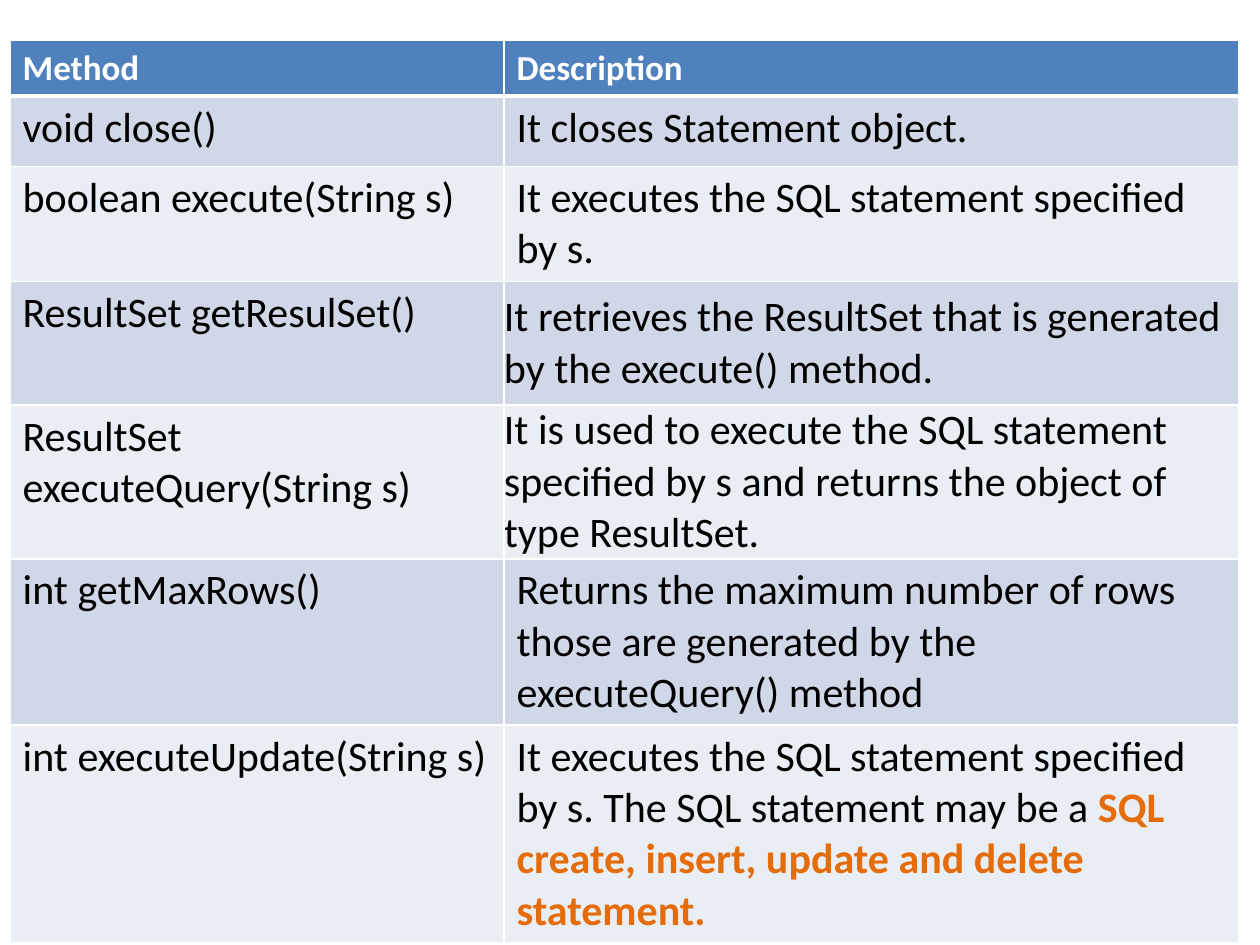
from pptx import Presentation
from pptx.dml.color import RGBColor
from pptx.enum.text import MSO_ANCHOR
from pptx.oxml.ns import qn
from pptx.util import Inches, Pt
from lxml.etree import SubElement

COLORS = {
    "header": "4F81BD", "odd": "D0D8E8", "even": "E9EDF4",
    "white": "FFFFFF", "black": "000000", "accent": "E46C0A",
}
COLUMN_WIDTHS = [3.92, 5.83]
ROW_HEIGHTS = [0.43, 0.56, 0.75, 0.98, 1.08, 1.08, 1.08]
FLUSH_ROWS = (3, 4)  # descriptions without margins
METHODS = [
    ("Method", "Description"),
    ("void close()", "It closes Statement object."),
    ("boolean execute(String s)", "It executes the SQL statement specified by s."),
    ("ResultSet getResulSet()",
     "It retrieves the ResultSet that is generated by the execute() method."),
    ("ResultSet executeQuery(String s)",
     "It is used to execute the SQL statement specified by s and returns "
     "the object of type ResultSet."),
    ("int getMaxRows()",
     "Returns the maximum number of rows those are generated by the "
     "executeQuery() method"),
    ("int executeUpdate(String s)",
     "It executes the SQL statement specified by s. The SQL statement may be a "),
]


def add_text(para, text, size=24, color="black", bold=False):
    span = para.add_run()
    span.text = text
    span.font.name = "Calibri"
    span.font.size = Pt(size)
    span.font.bold = bold
    span.font.color.rgb = RGBColor.from_string(COLORS[color])


def add_borders(cell, bottom=1):
    properties = cell._tc.get_or_add_tcPr()
    for side, width in (("L", 1), ("R", 1), ("T", 1), ("B", bottom)):
        line = SubElement(properties, qn(f"a:ln{side}"), w=str(Pt(width)))
        fill = SubElement(line, qn("a:solidFill"))
        SubElement(fill, qn("a:srgbClr"), val=COLORS["white"])


# Deck and page
deck = Presentation()
deck.slide_width, deck.slide_height = Inches(10), Inches(7.5)
page = deck.slides.add_slide(deck.slide_layouts[6])

# Table grid
frame = page.shapes.add_table(
    len(ROW_HEIGHTS), len(COLUMN_WIDTHS),
    Inches(0.08), Inches(0.32), Inches(9.75), Inches(7.08))
table = frame.table
for column, width in zip(table.columns, COLUMN_WIDTHS):
    column.width = Inches(width)
for row, height in zip(table.rows, ROW_HEIGHTS):
    row.height = Inches(height)
frame.height = Inches(7.08)

# Cells
for row_index, texts in enumerate(METHODS):
    is_header = row_index == 0
    band = "header" if is_header else ("odd" if row_index % 2 else "even")
    for column_index, text in enumerate(texts):
        cell = table.cell(row_index, column_index)
        add_borders(cell, bottom=3 if is_header else 1)
        cell.fill.solid()
        cell.fill.fore_color.rgb = RGBColor.from_string(COLORS[band])
        if column_index == 1 and row_index in FLUSH_ROWS:
            cell.vertical_anchor = MSO_ANCHOR.MIDDLE
            cell.margin_left = cell.margin_right = 0
            cell.margin_top = cell.margin_bottom = 0
        para = cell.text_frame.paragraphs[0]
        if is_header:
            add_text(para, text, size=20, color="white", bold=True)
        else:
            add_text(para, text)

# Highlighted ending of the last description
add_text(table.cell(6, 1).text_frame.paragraphs[0],
         "SQL create, insert, update and delete statement.",
         color="accent", bold=True)

deck.save("out.pptx")
